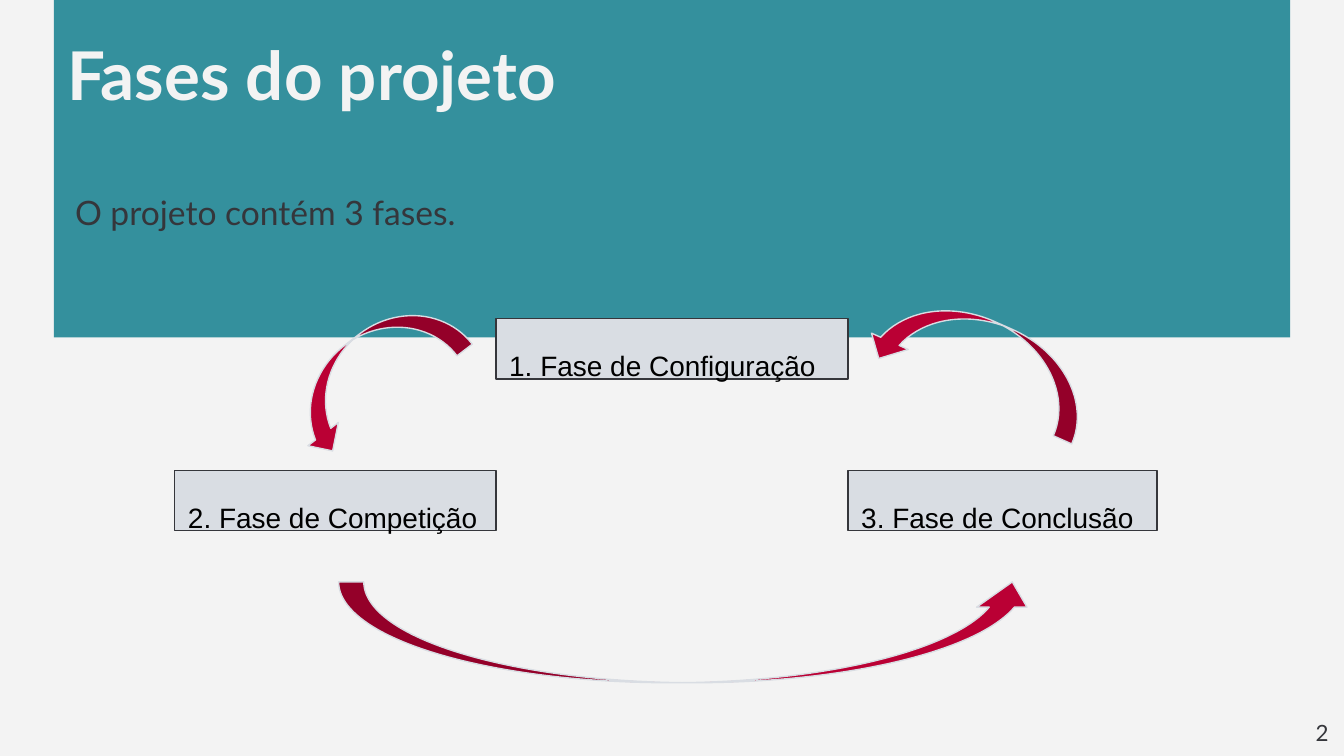
from dataclasses import dataclass

from pptx import Presentation
from pptx.dml.color import RGBColor
from pptx.enum.shapes import MSO_SHAPE as Shape
from pptx.enum.text import MSO_ANCHOR as Anchor, MSO_AUTO_SIZE as AutoSize, PP_ALIGN as Align
from pptx.util import Emu, Pt

PX = 9144  # 100 px to the inch
TEAL, PALE, DARK = "34909D", "F3F3F3", "35363B"
GREY, RED, BLACK = "D9DDE3", "BA0034", "000000"


@dataclass
class Box:
    x: int
    y: int
    w: int
    h: int

    def emu(self) -> list[Emu]:
        return [Emu(v * PX) for v in (self.x, self.y, self.w, self.h)]


@dataclass
class Phase:
    text: str
    box: Box


@dataclass
class Arrow:
    box: Box
    angle: float


PHASES = [
    Phase("1. Fase de Configuração", Box(369, 237, 262, 45)),
    Phase("2. Fase de Competição", Box(130, 350, 239, 45)),
    Phase("3. Fase de Conclusão", Box(631, 350, 230, 45)),
]
ARROWS = [
    Arrow(Box(204, 249, 145, 57), 322.6),
    Arrow(Box(252, 433, 520, 75), 180),
    Arrow(Box(645, 238, 172, 60), 23.9),
]


def rgb(color: str) -> RGBColor:
    return RGBColor.from_string(color)


def paint(sp, fill: str, line: str) -> None:
    sp.shadow.inherit = False
    sp.fill.solid()
    sp.fill.fore_color.rgb = rgb(fill)
    sp.line.color.rgb = rgb(line)
    sp.line.width = Pt(0.75)


def write(sp, text: str, size: int, color: str, font: str = "Lato", bold: bool = False):
    """Fill a shape with one left-aligned paragraph, starting at its top."""
    tf = sp.text_frame
    tf.word_wrap = True
    tf.auto_size = AutoSize.NONE
    tf.vertical_anchor = Anchor.TOP
    tf.margin_left = tf.margin_right = tf.margin_top = tf.margin_bottom = Emu(10 * PX)
    p = tf.paragraphs[0]
    p.alignment = Align.LEFT
    p.add_run().text = text
    p.font.name, p.font.size, p.font.bold = font, Pt(size), bold
    p.font.color.rgb = rgb(color)
    return p


def add_label(slide, box: Box, text: str, size: int) -> None:
    write(slide.shapes.add_textbox(*box.emu()), text, size, DARK)


def add_phase(slide, phase: Phase) -> None:
    sp = slide.shapes.add_shape(Shape.RECTANGLE, *phase.box.emu())
    paint(sp, GREY, DARK)
    write(sp, phase.text, 15, BLACK, "Arial").line_spacing = 1.5


def add_arrow(slide, arrow: Arrow) -> None:
    sp = slide.shapes.add_shape(Shape.CURVED_DOWN_ARROW, *arrow.box.emu())
    paint(sp, RED, GREY)
    sp.rotation = arrow.angle
    sp._element.spPr.xfrm.set("flipH", "1")


def add_title(slide, box: Box, text: str) -> None:
    sp = slide.shapes.title
    sp.left, sp.top, sp.width, sp.height = box.emu()
    sp.fill.solid()
    sp.fill.fore_color.rgb = rgb(TEAL)
    p = write(sp, text, 36, PALE, bold=True)
    # A larger closing space sets the line height
    r = p.add_run()
    r.text = " "
    r.font.size = Pt(53)


def main() -> None:
    prs = Presentation()
    prs.slide_width = Emu(1000 * PX)
    prs.slide_height = Emu(prs.slide_width * 9 // 16)
    slide = prs.slides.add_slide(prs.slide_layouts[5])
    slide.background.fill.solid()
    slide.background.fill.fore_color.rgb = rgb(PALE)

    # Heading band, introduction and page number
    add_title(slide, Box(40, -9, 920, 260), "Fases do projeto")
    add_label(slide, Box(46, 133, 305, 72), "O projeto contém 3 fases.", 18)
    add_label(slide, Box(969, 525, 27, 25), "2", 12)

    # Cycle of phases
    for phase in PHASES:
        add_phase(slide, phase)
    for arrow in ARROWS:
        add_arrow(slide, arrow)

    prs.save("out.pptx")


if __name__ == "__main__":
    main()
